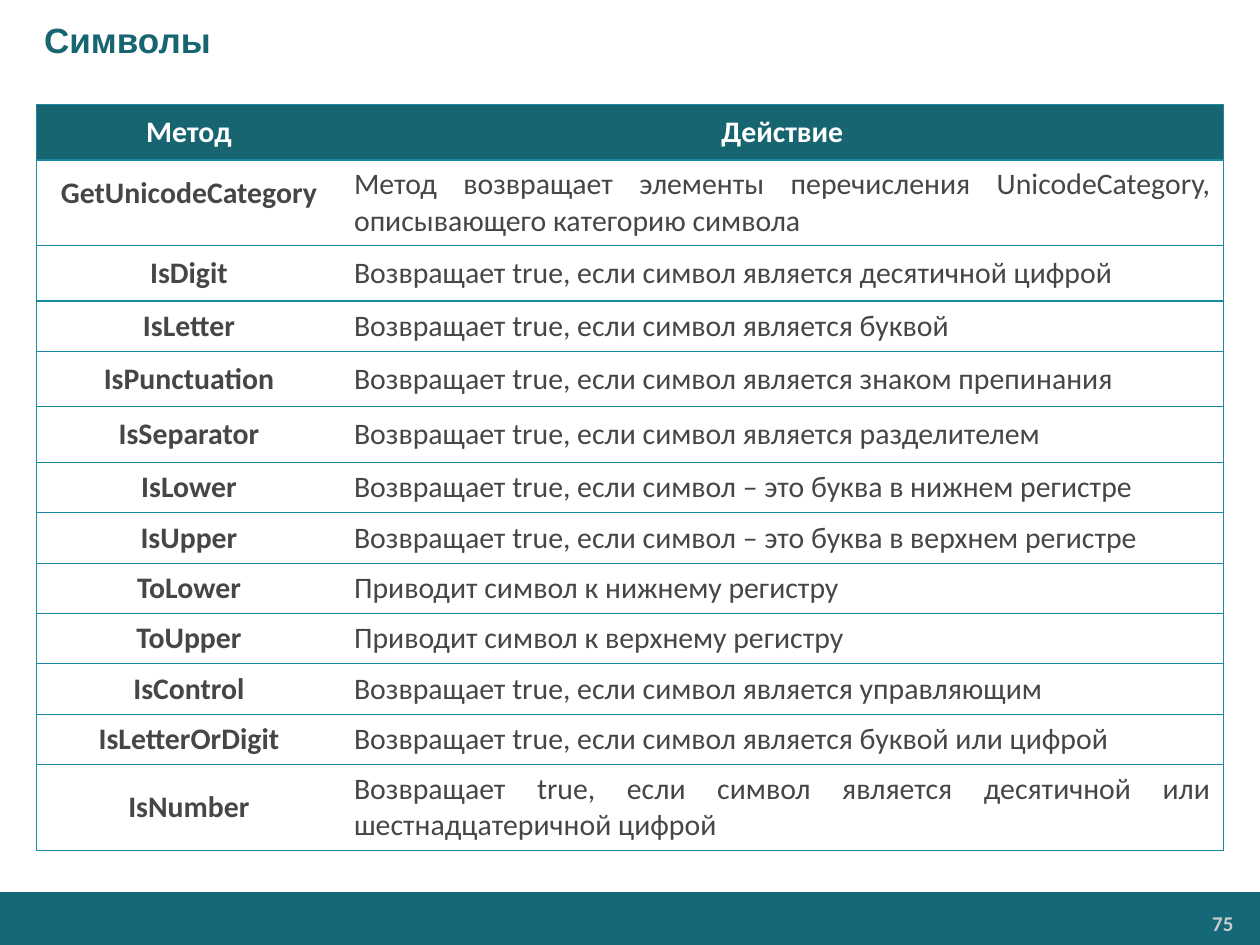
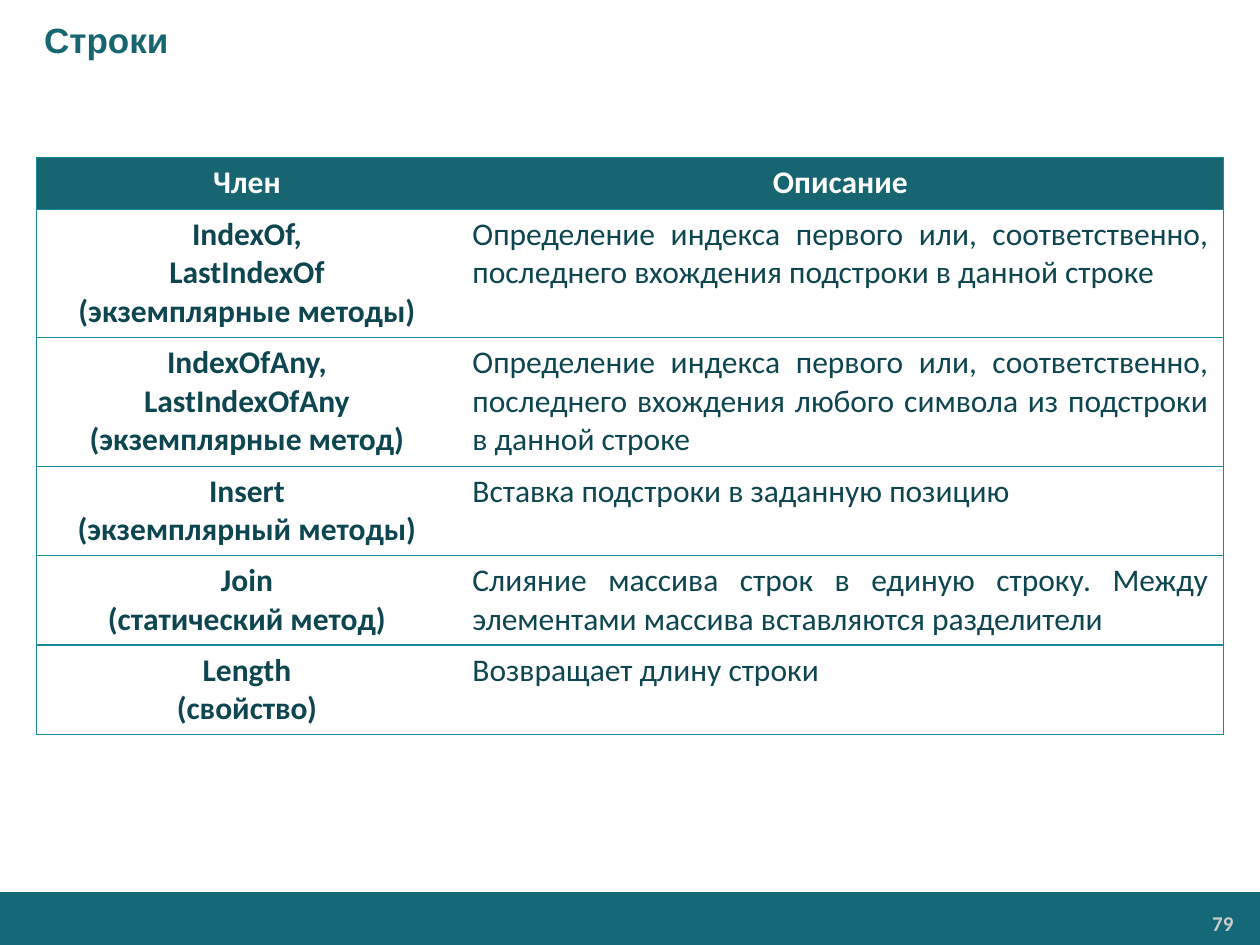
from lxml import etree
from pptx import Presentation
from pptx.dml.color import RGBColor
from pptx.enum.shapes import MSO_SHAPE
from pptx.enum.text import MSO_ANCHOR as ANCHOR, PP_ALIGN as ALIGN
from pptx.oxml.ns import qn
from pptx.util import Inches, Pt

# Shared look
COLORS = {
    "header": "176571",
    "band": "146878",
    "border": "178AA0",
    "page": "CCCCCC",
    "white": "FFFFFF",
    "gray": "464547",
    "dark": "0D4650",
}
W, H = 10, 7.5
SIDE = 0.29
TABLE_W = W - 2 * SIDE
BAND_H = 0.42
TITLE_ONLY = 5

# Slide content
IS = "Возвращает true, если символ "
CHAR_ROWS = [
    ("Метод", "Действие"),
    ("GetUnicodeCategory", "Метод возвращает элементы перечисления UnicodeCategory, "
                           "описывающего категорию символа"),
    ("IsDigit", IS + "является десятичной цифрой"),
    ("IsLetter", IS + "является буквой"),
    ("IsPunctuation", IS + "является знаком препинания"),
    ("IsSeparator", IS + "является разделителем"),
    ("IsLower", IS + "– это буква в нижнем регистре"),
    ("IsUpper", IS + "– это буква в верхнем регистре"),
    ("ToLower", "Приводит символ к нижнему регистру"),
    ("ToUpper", "Приводит символ к верхнему регистру"),
    ("IsControl", IS + "является управляющим"),
    ("IsLetterOrDigit", IS + "является буквой или цифрой"),
    ("IsNumber", IS + "является десятичной или шестнадцатеричной цифрой"),
]
CHAR_HEIGHTS = [0.44, 0.68, 0.44, 0.4, 0.44, 0.44] + [0.4] * 6 + [0.68]

INDEX_OF = "Определение индекса первого или, соответственно, последнего вхождения "
STRING_ROWS = [
    ("Член", "Описание"),
    ("IndexOf,\nLastIndexOf\n(экземплярные методы)", INDEX_OF + "подстроки в данной строке"),
    ("IndexOfAny,\nLastIndexOfAny\n(экземплярные метод)",
     INDEX_OF + "любого символа из подстроки в данной строке"),
    ("Insert\n(экземплярный методы)", "Вставка подстроки в заданную позицию"),
    ("Join\n(статический метод)", "Слияние массива строк в единую строку. "
                                  "Между элементами массива вставляются разделители"),
    ("Length\n(свойство)", "Возвращает длину строки"),
]
STRING_HEIGHTS = [0.41, 1.02, 1.02, 0.71, 0.71, 0.71]


def rgb(name):
    return RGBColor.from_string(COLORS[name])


def style(p, font, size, color, bold=True, align=ALIGN.LEFT):
    p.alignment = align
    for r in p.runs:
        r.font.name = font
        r.font.size = Pt(size)
        r.font.bold = bold
        r.font.color.rgb = rgb(color)


def add_slide(prs, title, page):
    """Add a slide with its title, bottom band and page number."""
    s = prs.slides.add_slide(prs.slide_layouts[TITLE_ONLY])

    sp = s.shapes.title
    sp.left, sp.top, sp.width, sp.height = 0, 0, Inches(W), Inches(0.63)
    tf = sp.text_frame
    tf.text = title
    tf.margin_left = Inches(0.35)
    tf.vertical_anchor = ANCHOR.MIDDLE
    style(tf.paragraphs[0], "Arial", 20, "header")

    band = s.shapes.add_shape(MSO_SHAPE.RECTANGLE, 0, Inches(H - BAND_H),
                              Inches(W), Inches(BAND_H))
    band.shadow.inherit = False
    band.fill.solid()
    band.fill.fore_color.rgb = rgb("band")
    band.line.fill.background()

    box = s.shapes.add_textbox(Inches(8.23), Inches(7.19), Inches(1.63), Inches(0.28))
    tf = box.text_frame
    tf.word_wrap = True
    tf.margin_left = tf.margin_right = Inches(0.07)
    tf.margin_top = tf.margin_bottom = Inches(0.04)
    tf.text = str(page)
    style(tf.paragraphs[0], "Calibri", 12, "page", align=ALIGN.RIGHT)
    return s


def set_borders(cell, visible):
    """Draw the sides named in visible and clear the others."""
    tc_pr = cell._tc.get_or_add_tcPr()
    for side in "LRTB":
        ln = etree.SubElement(tc_pr, qn(f"a:ln{side}"), w=str(Pt(0.75)))
        if side in visible:
            fill = etree.SubElement(ln, qn("a:solidFill"))
            etree.SubElement(fill, qn("a:srgbClr"), val=COLORS["border"])
        else:
            etree.SubElement(ln, qn("a:noFill"))


def fill_cell(cell, text, size, color, is_header, is_name, anchor, inset, justify):
    set_borders(cell, "LTB" if is_name else "RTB")
    if is_header:
        cell.fill.solid()
        cell.fill.fore_color.rgb = rgb("header")
    else:
        cell.fill.background()
    cell.vertical_anchor = anchor
    cell.margin_left = cell.margin_right = Inches(inset)
    cell.margin_top = cell.margin_bottom = Inches(0.05)
    cell.text_frame.text = text
    centred = is_header or is_name
    align = ALIGN.CENTER if centred else ALIGN.JUSTIFY if justify else ALIGN.LEFT
    for p in cell.text_frame.paragraphs:
        style(p, "Calibri", size, "white" if is_header else color, centred, align)


def add_method_table(s, rows, heights, top, name_w, size, color, anchor, inset,
                     justified):
    """Add a table of names and descriptions; justified lists row numbers."""
    table = s.shapes.add_table(len(rows), 2, Inches(SIDE), Inches(top),
                               Inches(TABLE_W), Inches(sum(heights))).table
    table.first_row = table.horz_banding = False
    for column, width in zip(table.columns, (name_w, TABLE_W - name_w)):
        column.width = Inches(width)
    for i, (texts, height) in enumerate(zip(rows, heights)):
        table.rows[i].height = Inches(height)
        for j, text in enumerate(texts):
            fill_cell(table.cell(i, j), text, size, color, i == 0, j == 0,
                      anchor, inset, i in justified)
    return table


def main():
    prs = Presentation()
    prs.slide_width, prs.slide_height = Inches(W), Inches(H)

    # Character methods
    s = add_slide(prs, "Символы", 75)
    table = add_method_table(s, CHAR_ROWS, CHAR_HEIGHTS, 0.83, 2.42, 17, "gray",
                             ANCHOR.MIDDLE, 0.1, (1, len(CHAR_ROWS) - 1))
    category = table.cell(1, 0)
    category.margin_left = category.margin_right = Inches(0.07)
    category.margin_top = category.margin_bottom = 0
    category.text_frame.paragraphs[0].line_spacing = Pt(10)

    # String members
    s = add_slide(prs, "Строки", 79)
    add_method_table(s, STRING_ROWS, STRING_HEIGHTS, 1.25, 3.34, 18, "dark",
                     ANCHOR.TOP, 0.12, range(1, len(STRING_ROWS)))

    prs.save("out.pptx")


if __name__ == "__main__":
    main()
